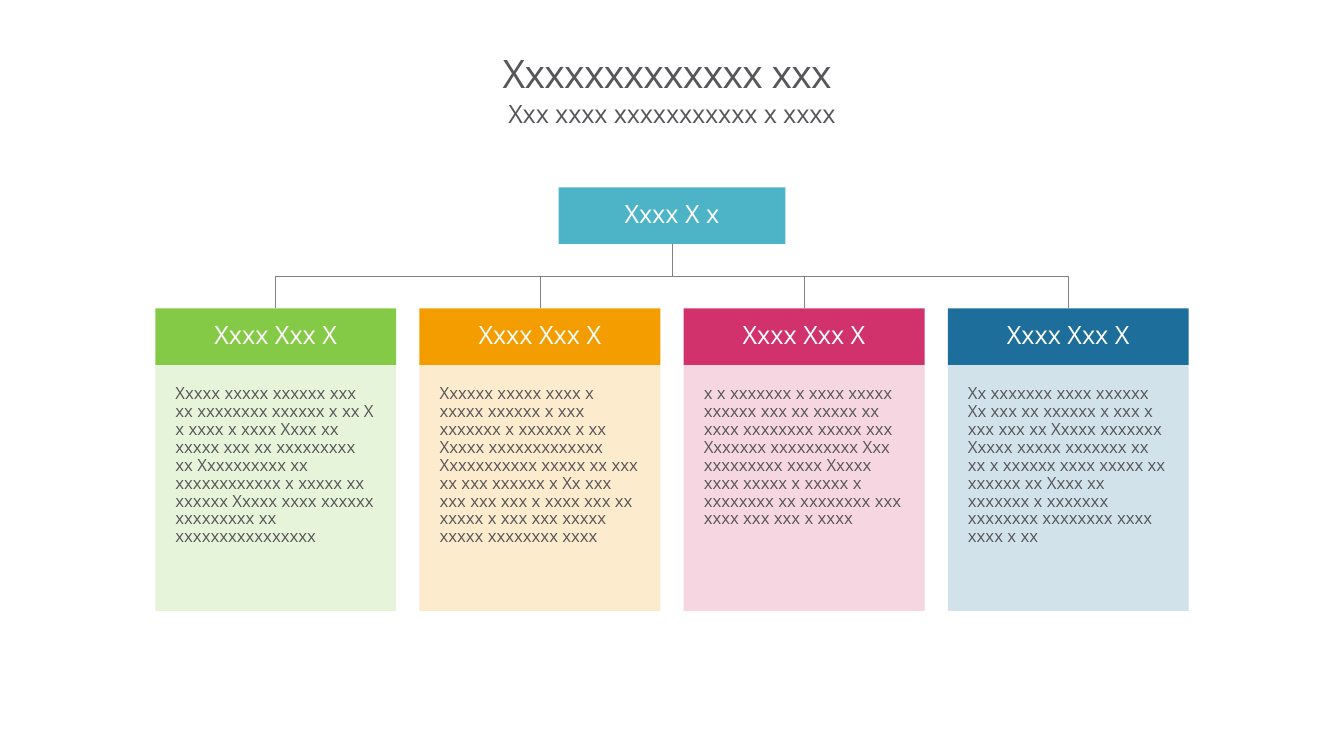
from pptx import Presentation
from pptx.dml.color import RGBColor
from pptx.enum.shapes import MSO_CONNECTOR, MSO_SHAPE
from pptx.enum.text import MSO_ANCHOR, PP_ALIGN
from pptx.oxml.ns import qn
from pptx.util import Inches, Pt
from lxml.etree import SubElement

# Content
TITLE = "Xxxxxxxxxxxxx xxx "
SUBTITLE = "Xxx xxxx xxxxxxxxxxx x xxxx"
ROOT = "Xxxx X x"
BRANCHES = [
    ("Xxxx Xxx X", "85CA46",
     "Xxxxx xxxxx xxxxxx xxx xx xxxxxxxx xxxxxx x xx X x xxxx x xxxx Xxxx xx "
     "xxxxx xxx xx xxxxxxxxx xx Xxxxxxxxxx xx xxxxxxxxxxxx x xxxxx xx xxxxxx "
     "Xxxxx xxxx xxxxxx xxxxxxxxx xx xxxxxxxxxxxxxxxx"),
    ("Xxxx Xxx X", "F49D00",
     "Xxxxxx xxxxx xxxx x xxxxx xxxxxx x xxx xxxxxxx x xxxxxx x xx Xxxxx "
     "xxxxxxxxxxxxx Xxxxxxxxxxx xxxxx xx xxx xx xxx xxxxxx x Xx xxx xxx xxx "
     "xxx x xxxx xxx xx xxxxx x xxx xxx xxxxx xxxxx xxxxxxxx xxxx"),
    ("Xxxx Xxx X", "D2326B",
     "x x xxxxxxx x xxxx xxxxx xxxxxx xxx xx xxxxx xx xxxx xxxxxxxx xxxxx xxx "
     "Xxxxxxx xxxxxxxxxx Xxx xxxxxxxxx xxxx Xxxxx xxxx xxxxx x xxxxx x "
     "xxxxxxxx xx xxxxxxxx xxx xxxx xxx xxx x xxxx"),
    ("Xxxx Xxx X", "1D6E9B",
     "Xx xxxxxxx xxxx xxxxxx Xx xxx xx xxxxxx x xxx x xxx xxx xx Xxxxx xxxxxxx "
     "Xxxxx xxxxx xxxxxxx xx xx x xxxxxx xxxx xxxxx xx xxxxxx xx Xxxx xx "
     "xxxxxxx x xxxxxxx xxxxxxxx xxxxxxxx xxxx xxxx x xx"),
]
THEME = {
    "font": "Open Sans", "text": "57565A", "white": "FFFFFF",
    "root": "4DB3C7", "line": "808080", "tint": 20,
    "title": 28, "head": 18, "body": 12,
}

# Layout, in inches
ROOT_BOX = (5.54, 1.86, 2.25, 0.56)
LEFT, PITCH, CARD_W = 1.54, 2.62, 2.39
HEAD_Y, HEAD_H, BODY_H = 3.06, 0.56, 2.44

prs = Presentation()
prs.slide_width, prs.slide_height = Inches(13.33), Inches(7.5)
s = prs.slides.add_slide(prs.slide_layouts[6])


def write(sp, text, size, color=THEME["text"], align=PP_ALIGN.CENTER,
          anchor=MSO_ANCHOR.TOP, inset=0, spacing=0.9, track=0):
    tf = sp.text_frame
    tf.word_wrap = True
    tf.vertical_anchor = anchor
    tf.margin_left = tf.margin_right = Inches(inset)
    tf.margin_top = tf.margin_bottom = Inches(inset)
    p = tf.paragraphs[0]
    p.alignment, p.line_spacing = align, spacing
    r = p.add_run()
    r.text = text
    r.font.name, r.font.size = THEME["font"], Pt(size)
    r.font.color.rgb = RGBColor.from_string(color)
    if track:
        r.font._element.set("spc", str(round(track * 100)))


def add_box(box, fill, alpha=100):
    sp = s.shapes.add_shape(MSO_SHAPE.RECTANGLE, *map(Inches, box))
    sp.shadow.inherit = False
    sp.fill.solid()
    sp.fill.fore_color.rgb = RGBColor.from_string(fill)
    sp.line.fill.background()
    if alpha < 100:
        clr = sp._element.spPr.find(qn("a:solidFill")).find(qn("a:srgbClr"))
        SubElement(clr, qn("a:alpha")).set("val", str(alpha * 1000))
    return sp


def add_header(box, text, fill):
    sp = add_box(box, fill)
    write(sp, text, THEME["head"], THEME["white"],
          anchor=MSO_ANCHOR.MIDDLE, inset=0.05)
    return sp


def add_branch_line(parent, child):
    x1, y1 = parent.left + parent.width // 2, parent.top + parent.height
    x2, y2 = child.left + child.width // 2, child.top
    cn = s.shapes.add_connector(MSO_CONNECTOR.ELBOW, x1, y1, x2, y2)
    cn.begin_connect(parent, 2)
    cn.end_connect(child, 0)
    # A quarter turn makes the elbow leave downwards
    drop, span = y2 - y1, abs(x2 - x1)
    cn.left, cn.top = (x1 + x2 - drop) // 2, (y1 + y2 - span) // 2
    cn.width, cn.height = drop, span
    to_right = x2 > x1
    xfrm = cn._element.spPr.find(qn("a:xfrm"))
    xfrm.set("rot", "16200000" if to_right else "5400000")
    xfrm.set("flipH", "1" if to_right else "0")
    xfrm.set("flipV", "0")
    cn.line.color.rgb = RGBColor.from_string(THEME["line"])
    cn.line.width = Pt(0.5)
    SubElement(cn._element.spPr, qn("a:effectLst"))


# Title and subtitle
title = s.shapes.add_textbox(*map(Inches, (1, 0.31, 11.33, 0.89)))
write(title, TITLE, THEME["title"], anchor=MSO_ANCHOR.MIDDLE,
      spacing=0.86, track=-0.5)
subtitle = s.shapes.add_textbox(*map(Inches, (1, 1.02, 11.33, 0.44)))
write(subtitle, SUBTITLE, THEME["head"], spacing=0.86, track=-0.1)

# Root and its branches
root = add_header(ROOT_BOX, ROOT, THEME["root"])
for i, (name, color, text) in enumerate(BRANCHES):
    x = LEFT + i * PITCH
    head = add_header((x, HEAD_Y, CARD_W, HEAD_H), name, color)
    body = add_box((x, HEAD_Y + HEAD_H, CARD_W, BODY_H), color, THEME["tint"])
    write(body, text, THEME["body"], align=PP_ALIGN.LEFT,
          inset=0.2, spacing=0.89)
    add_branch_line(root, head)

prs.save("out.pptx")
